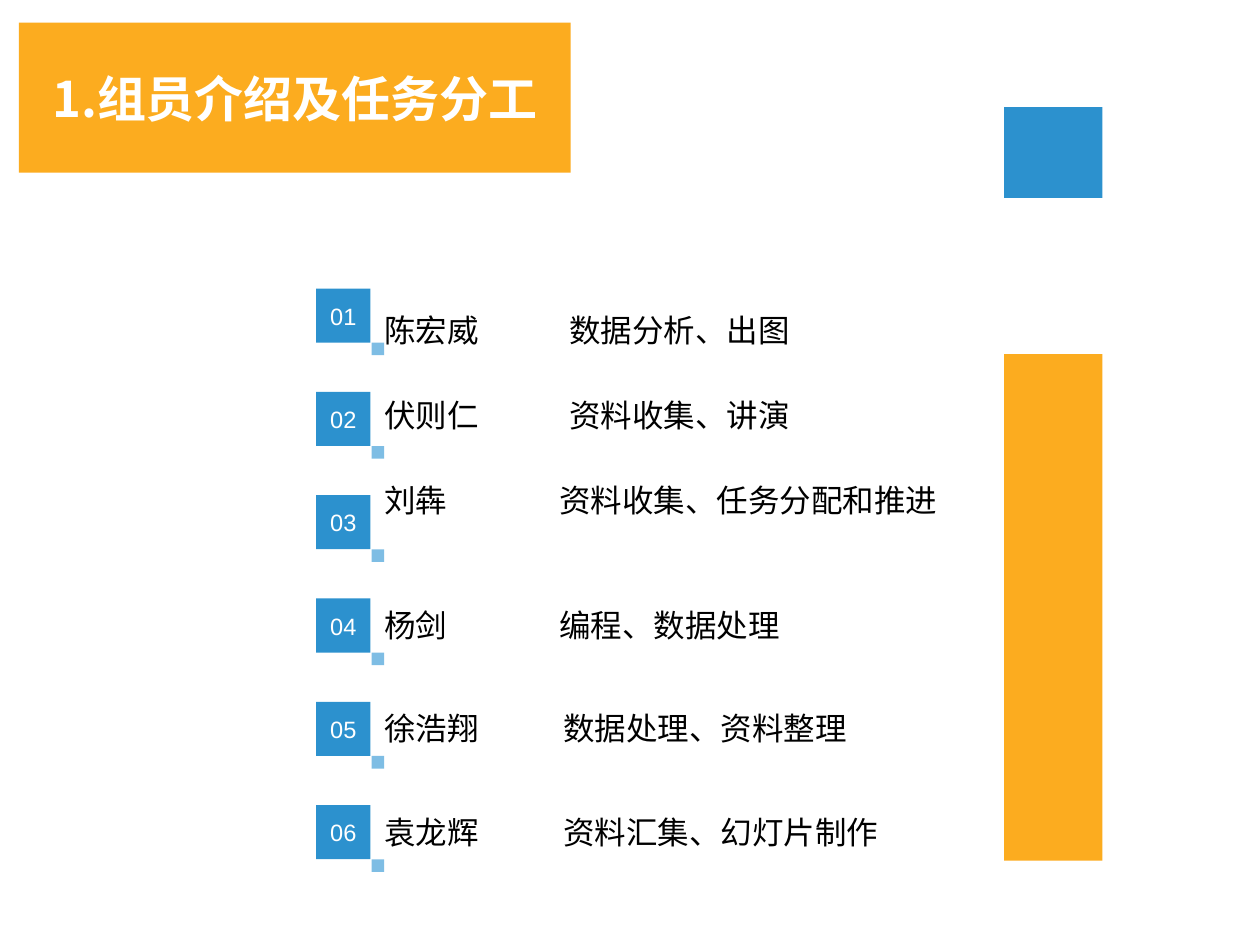
from dataclasses import dataclass
from lxml.etree import SubElement
from pptx import Presentation
from pptx.dml.color import RGBColor
from pptx.enum.shapes import MSO_SHAPE as Shape
from pptx.enum.text import MSO_ANCHOR as Anchor, PP_ALIGN as Align
from pptx.oxml.ns import qn
from pptx.util import Inches, Pt


@dataclass(frozen=True)
class Theme:
    orange: str = "FCAC1F"
    blue: str = "2C91CE"
    light_blue: str = "7EBDE4"
    white: str = "FFFFFF"
    black: str = "000000"
    title_font: str = "Noto Sans CJK SC"
    body_font: str = "Arial"
    title_size: float = 28
    body_size: float = 18
    number_size: float = 13.5


theme = Theme()

TITLE = "1.组员介绍及任务分工"
MEMBERS = [
    ("陈宏威", "数据分析、出图", 2.37, 1.47),
    ("伏则仁", "资料收集、讲演", 3.04, 1.47),
    ("刘犇", "资料收集、任务分配和推进", 3.72, 1.39),
    ("杨剑", "编程、数据处理", 4.71, 1.39),
    ("徐浩翔", "数据处理、资料整理", 5.53, 1.42),
    ("袁龙辉", "资料汇集、幻灯片制作", 6.35, 1.42),
]

NUMBER_LEFT, NUMBER_TOP, NUMBER_SIDE = 2.51, 2.29, 0.43
ROW_PITCH = 0.82
CORNER_SIDE = 0.1
NAME_LEFT, NAME_WIDTH, NAME_HEIGHT = 2.95, 4.98, 0.5


def add_block(page, area, color):
    block = page.shapes.add_shape(Shape.RECTANGLE, *map(Inches, area))
    block.shadow.inherit = False
    block.fill.solid()
    block.fill.fore_color.rgb = RGBColor.from_string(color)
    block.line.fill.background()
    return block


def write(box, text, size, font, color, align, bold=False):
    frame = box.text_frame
    frame.word_wrap = True
    frame.vertical_anchor = Anchor.MIDDLE
    para = frame.paragraphs[0]
    para.alignment = align
    span = para.add_run()
    span.text = text
    span.font.size = Pt(size)
    span.font.name = font
    span.font.bold = bold
    span.font.color.rgb = RGBColor.from_string(color)
    SubElement(span.font._element, qn("a:ea"), typeface=theme.title_font)
    return para


def add_number(page, number, top):
    block = add_block(page, (NUMBER_LEFT, top, NUMBER_SIDE, NUMBER_SIDE), theme.blue)
    frame = block.text_frame
    frame.margin_left = frame.margin_right = frame.margin_top = frame.margin_bottom = 0
    write(block, f"{number:02d}", theme.number_size, theme.body_font, theme.white, Align.CENTER)
    corner = (NAME_LEFT, top + NUMBER_SIDE, CORNER_SIDE, CORNER_SIDE)
    add_block(page, corner, theme.light_blue)


def add_member(page, name, task, top, task_offset):
    area = (NAME_LEFT, top, NAME_WIDTH, NAME_HEIGHT)
    box = page.shapes.add_textbox(*map(Inches, area))
    para = write(box, f"{name}\t{task}", theme.body_size, theme.body_font, theme.black, Align.LEFT)
    tabs = SubElement(para._p.get_or_add_pPr(), qn("a:tabLst"))
    SubElement(tabs, qn("a:tab"), pos=str(Inches(task_offset)), algn="l")


def main():
    deck = Presentation()
    deck.slide_width, deck.slide_height = Inches(10), Inches(7.5)
    page = deck.slides.add_slide(deck.slide_layouts[6])

    add_block(page, (7.97, 2.81, 0.78, 4.02), theme.orange)
    add_block(page, (7.97, 0.85, 0.78, 0.72), theme.blue)
    for index, member in enumerate(MEMBERS):
        add_member(page, *member)
        add_number(page, index + 1, NUMBER_TOP + index * ROW_PITCH)

    banner = add_block(page, (0.15, 0.18, 4.38, 1.19), theme.orange)
    write(banner, TITLE, theme.title_size, theme.title_font, theme.white, Align.CENTER, bold=True)
    deck.save("out.pptx")


if __name__ == "__main__":
    main()
